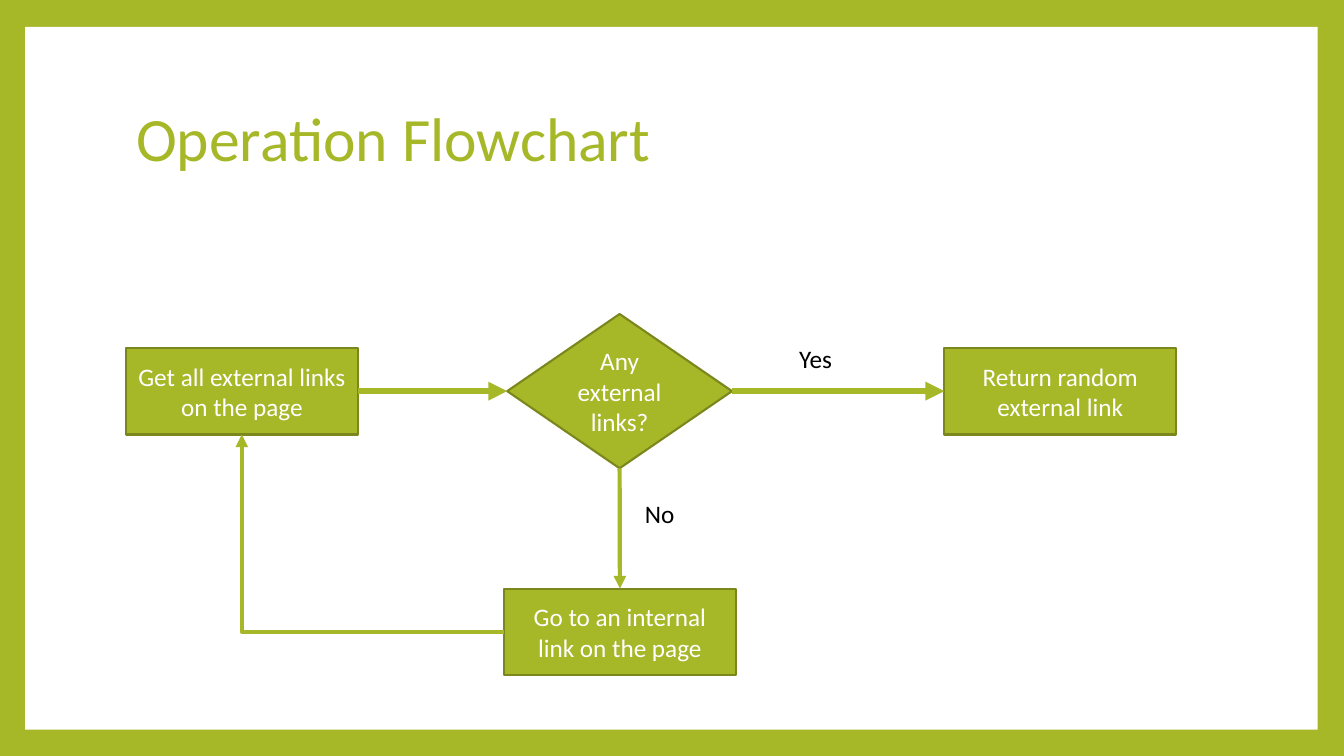
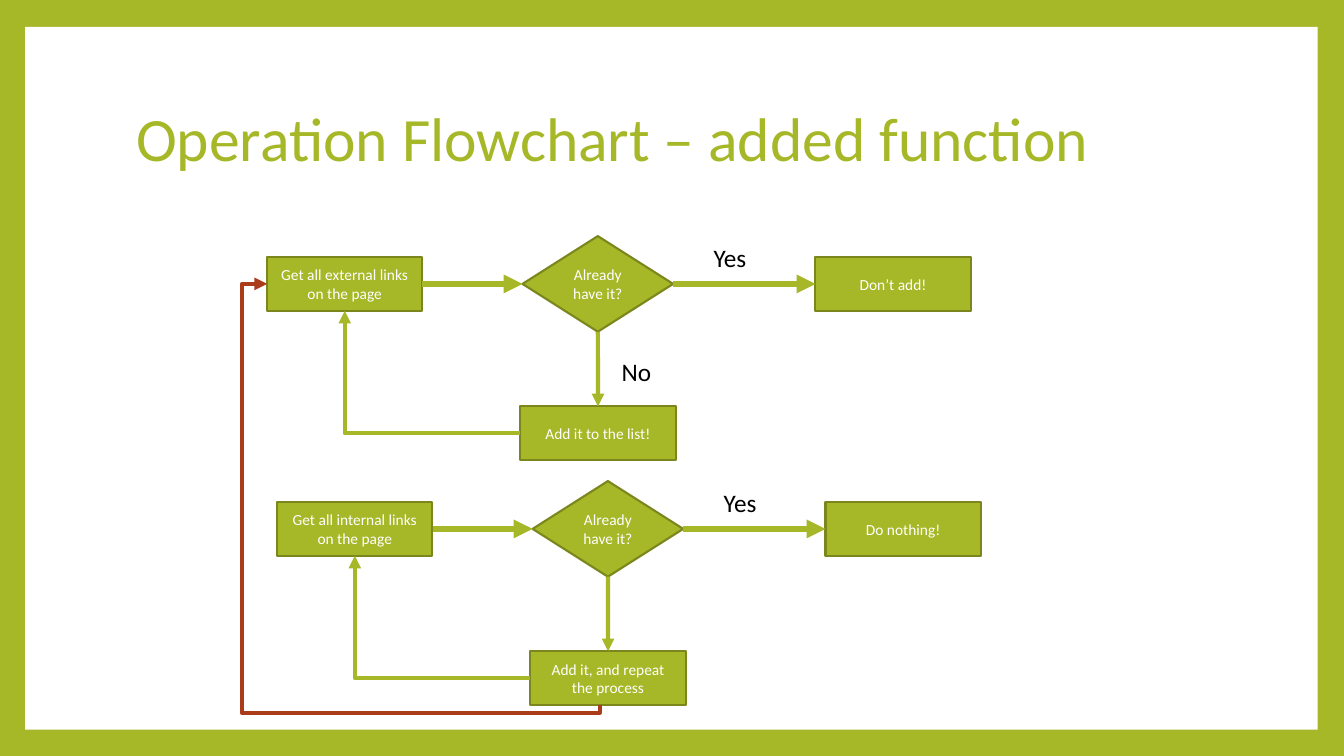
from lxml.etree import SubElement as sub
from pptx import Presentation
from pptx.dml.color import RGBColor
from pptx.enum.shapes import MSO_CONNECTOR as LINK, MSO_SHAPE as GEOM
from pptx.enum.text import MSO_ANCHOR as ANCHOR, MSO_AUTO_SIZE as FIT, PP_ALIGN as ALIGN
from pptx.oxml.ns import qn
from pptx.util import Pt

# Content: each flow has its origin, scale, text size, steps and labels
PAGES = [
    ("Operation Flowchart", [
        dict(at=(90, 248.4), scale=(1, 1), size=18, group=False,
             steps=("Get all external links on the page", "Any external links?",
                    "Return random external link", "Go to an internal link on the page"),
             tags=[("Yes", 473.8, -6.5), ("No", 363.6, 103.7)]),
    ]),
    ("Operation Flowchart – added function", [
        dict(at=(190.8, 183.6), scale=(0.67, 0.62), size=11, group=True,
             steps=("Get all external links on the page", "Already have it?",
                    "Don’t add!", "Add it to the list!"),
             tags=[("Yes", 311.8, -14.4), ("No", 246.2, 67)]),
        dict(at=(198, 358.6), scale=(0.67, 0.62), size=11, group=True,
             steps=("Get all internal links on the page", "Already have it?",
                    "Do nothing!", "Add it, and repeat the process"),
             tags=[("Yes", 311.8, -14.4)]),
    ]),
]
HUE = dict(green="A6B727", edge="7B871D", red="AB3C19", white="FFFFFF", black="000000")
FONT = "Calibri"

# Full-size flow: step shape, centre and size, measured from the first box
BOX, GEM = (165.6, 62), (160.6, 110.2)
STEPS = [(GEOM.RECTANGLE, 82.8, 31, BOX), (GEOM.FLOWCHART_DECISION, 352.6, 31, GEM),
         (GEOM.RECTANGLE, 667.4, 31, BOX), (GEOM.RECTANGLE, 352.8, 203, BOX)]
TOP, LEFT, FOOT, RIGHT = range(4)
# Links: from step and side, to step and side, width, bent or not
LINKS = [(0, RIGHT, 1, LEFT, 4.5, False), (1, RIGHT, 2, LEFT, 4.5, False),
         (1, FOOT, 3, TOP, 3, False), (3, LEFT, 0, FOOT, 3, True)]


def rgb(name):
    return RGBColor.from_string(HUE[name])


def write(shape, text, size=18, hue="black", align=ALIGN.LEFT, anchor=ANCHOR.TOP,
          fit=FIT.NONE, space=1.0):
    frame = shape.text_frame
    frame.word_wrap, frame.auto_size, frame.vertical_anchor = True, fit, anchor
    par = frame.paragraphs[0]
    par.alignment, par.line_spacing = align, space
    run = par.add_run()
    run.text = text
    run.font.name, run.font.size, run.font.color.rgb = FONT, Pt(size), rgb(hue)


def block(shapes, geom, x, y, w, h, fill, edge=None):
    shape = shapes.add_shape(geom, Pt(x), Pt(y), Pt(w), Pt(h))
    shape.shadow.inherit = False
    shape.fill.solid()
    shape.fill.fore_color.rgb = rgb(fill)
    if edge:
        shape.line.color.rgb, shape.line.width = rgb(edge), Pt(1.5)
    else:
        shape.line.fill.background()
    return shape


def arrow(shapes, kind, start, end, hue, width):
    link = shapes.add_connector(kind, *(Pt(v) for v in start + end))
    link.line.color.rgb, link.line.width = rgb(hue), Pt(width)
    props = link.element.spPr
    sub(props.find(qn("a:ln")), qn("a:tailEnd"), type="triangle")
    sub(props, qn("a:effectLst"))
    return link


def side(shape, spot):
    dx, dy = [(0.5, 0), (0, 0.5), (0.5, 1), (1, 0.5)][spot]
    return (shape.left.pt + dx * shape.width.pt, shape.top.pt + dy * shape.height.pt)


def bend(link, preset):
    geom = link.element.spPr.find(qn("a:prstGeom"))
    geom.set("prst", preset)
    return geom.find(qn("a:avLst"))


def draw(slide, flow):
    shapes = slide.shapes.add_group_shape().shapes if flow["group"] else slide.shapes
    (x, y), (sx, sy) = flow["at"], flow["scale"]
    nodes = []
    for text, (geom, cx, cy, (w, h)) in zip(flow["steps"], STEPS):
        node = block(shapes, geom, x + (cx - w / 2) * sx, y + (cy - h / 2) * sy,
                     w * sx, h * sy, "green", "edge")
        write(node, text, size=flow["size"], hue="white", align=ALIGN.CENTER,
              anchor=ANCHOR.MIDDLE)
        nodes.append(node)
    for a, out, b, into, width, bent in LINKS:
        link = arrow(shapes, LINK.ELBOW if bent else LINK.STRAIGHT,
                     side(nodes[a], out), side(nodes[b], into), "green", width)
        link.begin_connect(nodes[a], out)
        link.end_connect(nodes[b], into)
        if bent:
            bend(link, "bentConnector2")
    for text, dx, dy in flow["tags"]:
        tag = shapes.add_textbox(Pt(x + dx), Pt(y + dy), Pt(58), Pt(29))
        write(tag, text, fit=FIT.SHAPE_TO_FIT_TEXT)
    return nodes


def loop(slide, last, first):
    """Red return path: down, left, up and into the first box."""
    (x1, y1), (x2, y2) = side(last, FOOT), side(first, LEFT)
    x1 -= 6
    low, far = 509, 172.8
    w, h = y1 - y2, x1 - x2
    left, top = (x1 + x2 - w) / 2, (y1 + y2 - h) / 2
    link = arrow(slide.shapes, LINK.ELBOW, (left, top), (left + w, top + h), "red", 3)
    frame = link.element.spPr.find(qn("a:xfrm"))
    frame.set("rot", str(270 * 60000))
    frame.set("flipV", "1")
    guides = bend(link, "bentConnector4")
    for name, part in (("adj1", (y1 - low) / w), ("adj2", (x1 - far) / h)):
        sub(guides, qn("a:gd"), name=name, fmla=f"val {round(part * 100000)}")


# Shared look: green background, white panel and title place
deck = Presentation()
deck.slide_width, deck.slide_height = Pt(960), Pt(540)
master, layout = deck.slide_master, deck.slide_layouts[5]
master.background.fill.solid()
master.background.fill.fore_color.rgb = rgb("green")
head = layout.placeholders[0]
head.left, head.top, head.width, head.height = Pt(90), Pt(48), Pt(777.6), Pt(106.6)

# Slides
flows = []
for title, parts in PAGES:
    slide = deck.slides.add_slide(layout)
    if not flows:
        panel = block(slide.shapes, GEOM.RECTANGLE, 18, 19.2, 923.2, 502, "white")
        master.element.cSld.spTree.insert(2, panel.element)
    write(slide.shapes.title, title, size=44, hue="green", anchor=ANCHOR.MIDDLE, space=0.9)
    flows += [draw(slide, flow) for flow in parts]
loop(slide, flows[2][3], flows[1][0])

deck.save("out.pptx")
